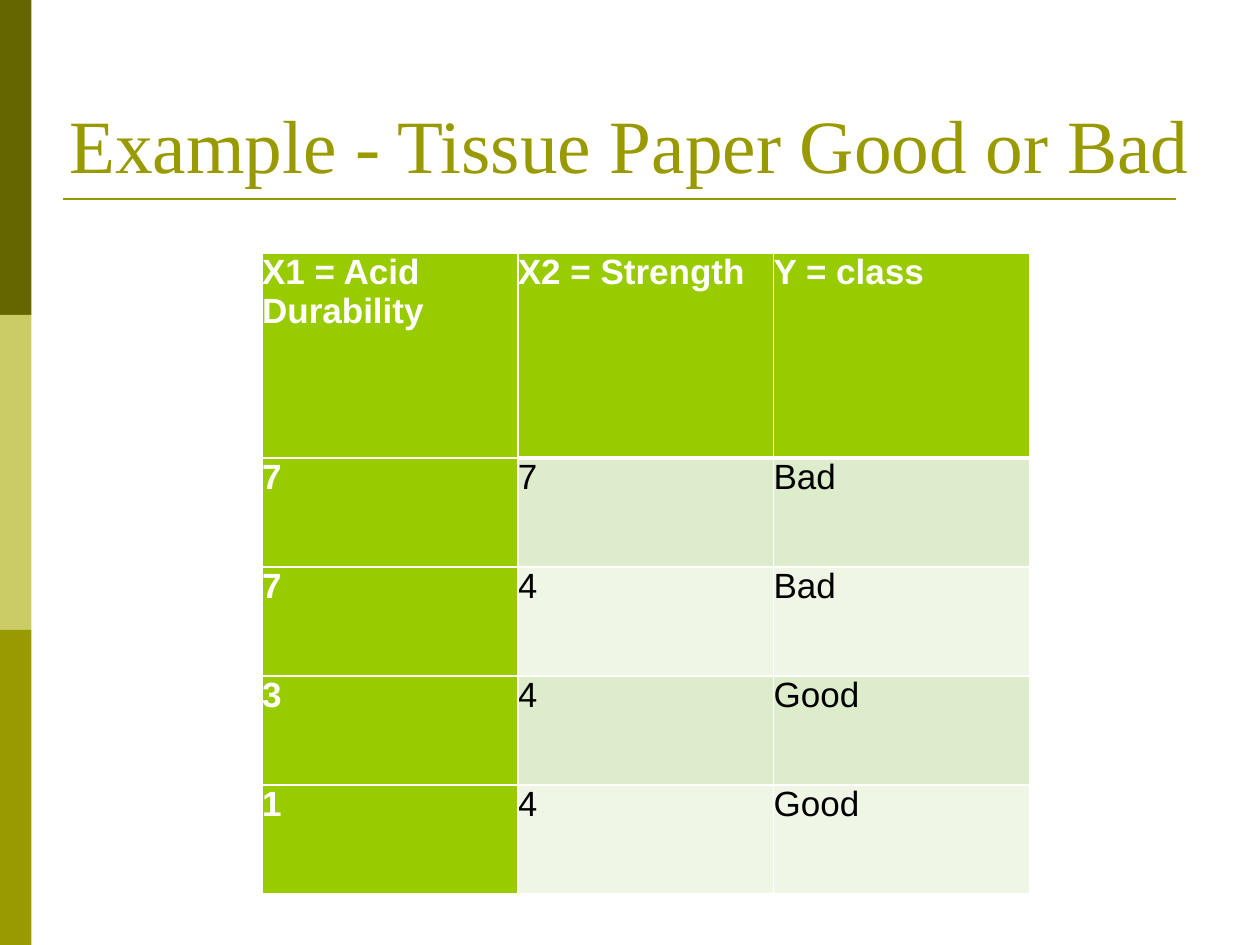
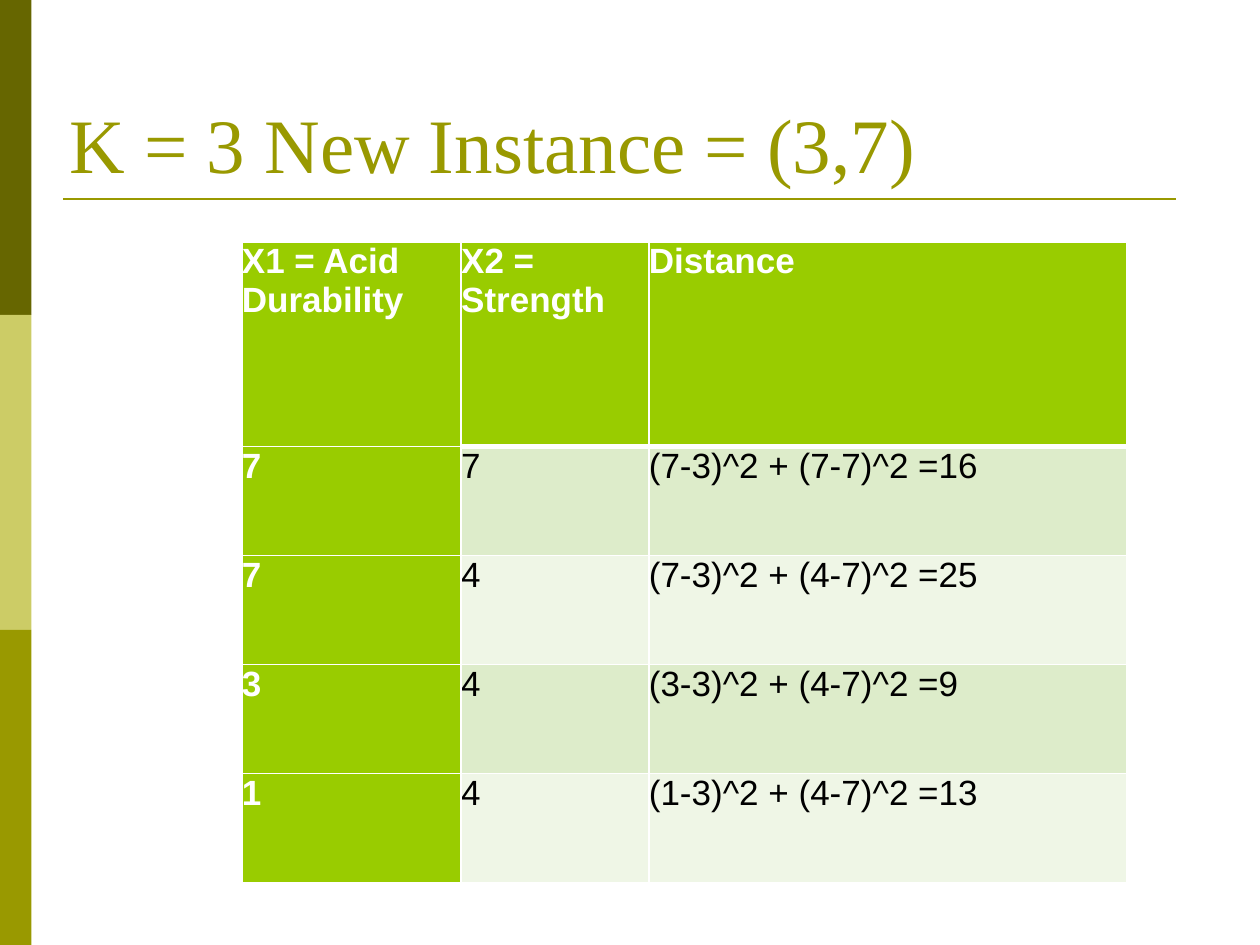
from dataclasses import dataclass
from lxml import etree
from pptx import Presentation
from pptx import util as u
from pptx.dml.color import RGBColor
from pptx.enum import shapes, text
from pptx.oxml.ns import qn

EMU_PER_PX = 914400 // 200

COLORS = {
    "dark": "666600", "pale": "CCCC66", "olive": "999900",
    "head": "99CC00", "odd": "DDECCA", "even": "EFF6E6",
    "white": "FFFFFF", "black": "000000",
}


@dataclass
class Band:
    color: str
    top: int


@dataclass
class TableSlide:
    title: str
    title_size: int
    left: int
    top: int
    widths: list[int]
    rows: list[list[str]]


BAND_W, BAND_H = 50, 500
BANDS = [Band(c, i * BAND_H) for i, c in enumerate(["dark", "pale", "olive"])]
HEAD_H, ROW_H = 325, 173

SLIDES = [
    TableSlide("Example - Tissue Paper Good or Bad", 43, 416, 402, [406] * 3, [
        ["X1 = Acid Durability", "X2 = Strength", "Y = class"],
        ["7", "7", "Bad"],
        ["7", "4", "Bad"],
        ["3", "4", "Good"],
        ["1", "4", "Good"],
    ]),
    TableSlide("K = 3 New Instance = (3,7)", 44, 384, 384, [348, 298, 759], [
        ["X1 = Acid Durability", "X2 = Strength", "Distance"],
        ["7", "7", "(7-3)^2 + (7-7)^2 =16"],
        ["7", "4", "(7-3)^2 + (4-7)^2 =25"],
        ["3", "4", "(3-3)^2 + (4-7)^2 =9"],
        ["1", "4", "(1-3)^2 + (4-7)^2 =13"],
    ]),
]


def px(n: int) -> u.Emu:
    return u.Emu(n * EMU_PER_PX)


def rgb(name: str) -> RGBColor:
    return RGBColor.from_string(COLORS[name])


def write(tf, content: str, *, font: str, size: int, color: str,
          bold: bool = False, inset: int = 0) -> None:
    tf.word_wrap = True
    tf.margin_left = tf.margin_right = tf.margin_top = tf.margin_bottom = px(inset)
    p = tf.paragraphs[0]
    p.alignment = text.PP_ALIGN.LEFT
    r = p.add_run()
    r.text = content
    r.font.name, r.font.size, r.font.bold = font, u.Pt(size), bold
    r.font.color.rgb = rgb(color)


# Side bands and the rule under the title
def draw_frame(s) -> None:
    for band in BANDS:
        sp = s.shapes.add_shape(shapes.MSO_SHAPE.RECTANGLE, 0, px(band.top),
                                px(BAND_W), px(BAND_H))
        sp.shadow.inherit = False
        sp.fill.solid()
        sp.fill.fore_color.rgb = rgb(band.color)
        sp.line.fill.background()
    rule = s.shapes.add_connector(shapes.MSO_CONNECTOR.STRAIGHT,
                                  px(100), px(316), px(1866), px(316))
    rule.line.color.rgb = rgb("olive")
    rule.line.width = u.Pt(1.5)
    etree.SubElement(rule._element.spPr, qn("a:effectLst"))


def draw_title(s, content: str, size: int) -> None:
    sp = s.shapes.title
    sp.left, sp.top, sp.width, sp.height = px(100), px(60), px(1800), px(250)
    tf = sp.text_frame
    tf.auto_size = text.MSO_AUTO_SIZE.NONE
    tf.vertical_anchor = text.MSO_ANCHOR.BOTTOM
    write(tf, content, font="Times New Roman", size=size, color="olive", inset=10)


def set_borders(cell, **widths: int) -> None:
    """Borders go before the cell fill, in the order L, R, T, B."""
    tc_pr = cell._tc.get_or_add_tcPr()
    for i, side in enumerate("LRTB"):
        ln = etree.Element(qn(f"a:ln{side}"), w=str(u.Pt(widths.get(side, 1))))
        fill = etree.SubElement(ln, qn("a:solidFill"))
        etree.SubElement(fill, qn("a:srgbClr"), val=COLORS["white"])
        tc_pr.insert(i, ln)


def draw_table(s, data: TableSlide) -> None:
    heights = [HEAD_H] + [ROW_H] * (len(data.rows) - 1)
    table = s.shapes.add_table(len(heights), len(data.widths), px(data.left), px(data.top),
                               px(sum(data.widths)), px(sum(heights))).table
    for column, width in zip(table.columns, data.widths):
        column.width = px(width)
    for i, (values, height) in enumerate(zip(data.rows, heights)):
        table.rows[i].height = px(height)
        for j, value in enumerate(values):
            cell = table.cell(i, j)
            strong = i == 0 or j == 0
            cell.margin_left = cell.margin_right = cell.margin_top = cell.margin_bottom = 0
            cell.fill.solid()
            cell.fill.fore_color.rgb = rgb("head" if strong else "odd" if i % 2 else "even")
            write(cell.text_frame, value, font="Arial", size=20, bold=strong,
                  color="white" if strong else "black")
            # A heavier line parts the header from the value columns
            set_borders(cell, T=3 if i == 1 and j else 1, B=3 if i == 0 and j else 1)


def main() -> None:
    prs = Presentation()
    prs.slide_width, prs.slide_height = px(2000), px(1500)
    for data in SLIDES:
        s = prs.slides.add_slide(prs.slide_layouts[5])
        draw_frame(s)
        draw_title(s, data.title, data.title_size)
        draw_table(s, data)
    prs.save("out.pptx")


if __name__ == "__main__":
    main()
